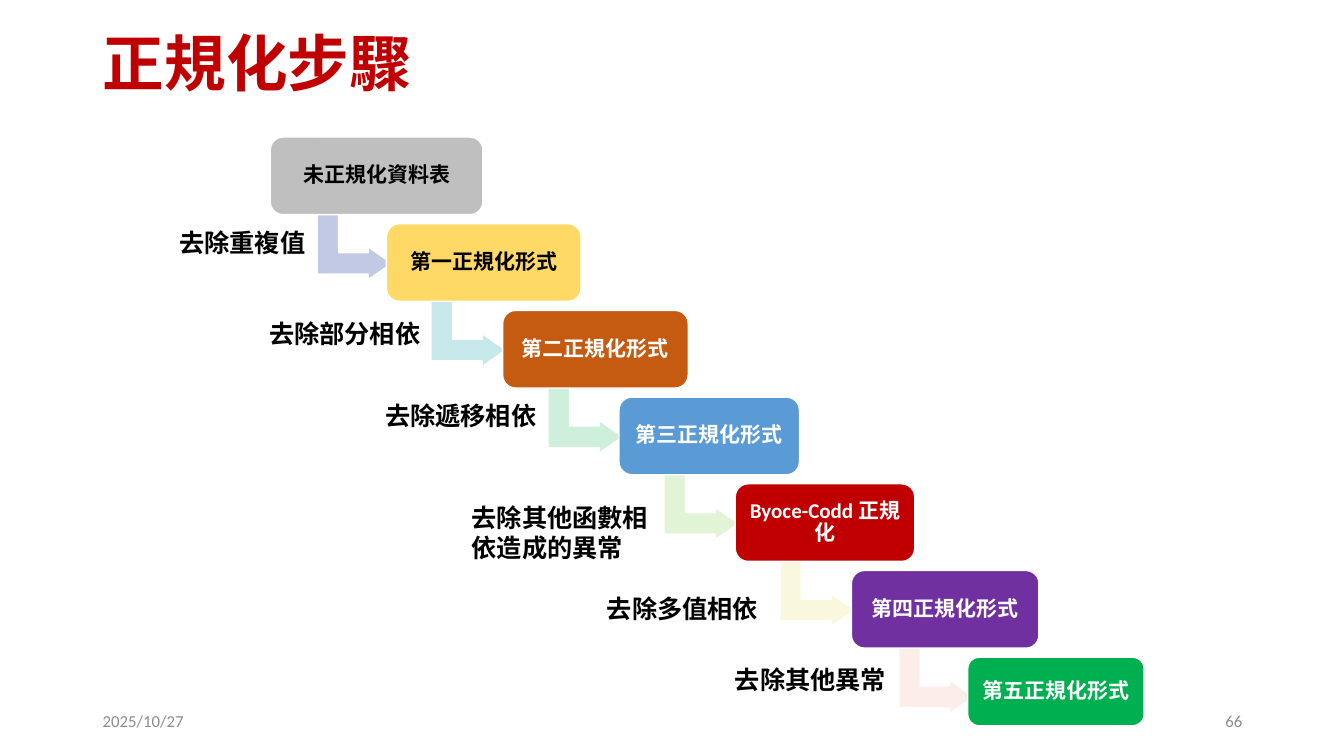
from lxml import etree
from pptx import Presentation
from pptx import util as u
from pptx.dml.color import RGBColor
from pptx.enum import shapes, text
from pptx.oxml.ns import qn

COLOURS = {
    "white": "FFFFFF", "black": "000000", "red": "C00000", "footer": "8C8C8C",
    "grey": "BFBFBF", "yellow": "FFD966", "orange": "C55A11", "blue": "5B9BD5",
    "purple": "7030A0", "green": "00B050",
    "pale blue": "C1C9E4", "pale teal": "C7E8EA", "pale mint": "CEF0DA",
    "pale green": "E1F5D6", "pale yellow": "F9F7DE", "pale pink": "FCEDE8",
}
LATIN, CJK = "Calibri", "Noto Sans CJK SC"

# Form name, width, height, fill, text colour
FORMS = [
    ("未正規化資料表", 2.11, 0.77, "grey", "black"),
    ("第一正規化形式", 1.93, 0.77, "yellow", "black"),
    ("第二正規化形式", 1.84, 0.77, "orange", "white"),
    ("第三正規化形式", 1.79, 0.77, "blue", "white"),
    ("Byoce-Codd 正規化", 1.78, 0.77, "red", "white"),
    ("第四正規化形式", 1.86, 0.77, "purple", "white"),
    ("第五正規化形式", 1.75, 0.68, "green", "white"),
]
# Arrow left and fill, then the label's words, left, top, width, height, wrap
ACTIONS = [
    (3.19, "pale blue", "去除重複值", 1.68, 2.21, 1.46, 0.4, False),
    (4.32, "pale teal", "去除部分相依", 2.57, 3.11, 1.72, 0.4, False),
    (5.48, "pale mint", "去除遞移相依", 3.72, 3.92, 1.72, 0.4, False),
    (6.63, "pale green", "去除其他函數相依造成的異常", 4.58, 4.93, 1.95, 0.71, True),
    (7.78, "pale yellow", "去除多值相依", 5.92, 5.84, 1.72, 0.4, False),
    (8.96, "pale pink", "去除其他異常", 7.19, 6.54, 1.72, 0.4, False),
]
FIRST_LEFT, FIRST_TOP = 2.68, 1.36
STEP_RIGHT, STEP_DOWN = 1.153, 0.86


def colour(name):
    return RGBColor.from_string(COLOURS[name])


def write(frame, words, size=18, ink="black", bold=False, font=LATIN,
          align=text.PP_ALIGN.LEFT, anchor=text.MSO_ANCHOR.MIDDLE,
          spacing=None, inset=None, wrap=True):
    frame.word_wrap = wrap
    frame.auto_size = text.MSO_AUTO_SIZE.NONE
    frame.vertical_anchor = anchor
    if inset is not None:
        frame.margin_left = frame.margin_right = u.Inches(inset)
        frame.margin_top = frame.margin_bottom = u.Inches(inset)
    para = frame.paragraphs[0]
    para.alignment = align
    if spacing:
        para.line_spacing = spacing
    span = para.add_run()
    span.text = words
    span.font.size = u.Pt(size)
    span.font.bold = bold
    span.font.color.rgb = colour(ink)
    span.font.name = font
    east_asian = etree.SubElement(span.font._element, qn("a:ea"))
    east_asian.set("typeface", CJK)


class StepSlide:
    def __init__(self, deck):
        self.page = deck.slides.add_slide(deck.slide_layouts[5])
        self.outline = "white"

    def title(self, words, *place):
        box = self.page.shapes.title
        box.left, box.top, box.width, box.height = map(u.Inches, place)
        write(box.text_frame, words, size=44, ink="red", bold=True, spacing=0.9)

    def label(self, words, *place, **style):
        box = self.page.shapes.add_textbox(*map(u.Inches, place))
        write(box.text_frame, words, **style)

    def shape(self, kind, fill, adjustments, *place):
        shape = self.page.shapes.add_shape(kind, *map(u.Inches, place))
        shape.shadow.inherit = False
        shape.fill.solid()
        shape.fill.fore_color.rgb = colour(fill)
        shape.line.color.rgb = colour(self.outline)
        shape.line.width = u.Pt(1)
        for index, value in enumerate(adjustments):
            shape.adjustments[index] = value
        return shape

    def arrow(self, fill, left, top):
        arrow = self.shape(shapes.MSO_SHAPE.BENT_UP_ARROW, fill,
                           (0.328, 0.25, 0.358), left, top, 0.65, 0.74)
        arrow.rotation = 90

    def form(self, words, fill, ink, *place):
        box = self.shape(shapes.MSO_SHAPE.ROUNDED_RECTANGLE, fill, (0.167,), *place)
        write(box.text_frame, words, size=15, ink=ink, bold=True,
              align=text.PP_ALIGN.CENTER, spacing=0.9, inset=0.06)


def main():
    deck = Presentation()
    deck.slide_width, deck.slide_height = u.Inches(13.33), u.Inches(7.5)
    slide = StepSlide(deck)
    slide.title("正規化步驟", 0.92, 0.15, 11.5, 1.02)
    slide.label("2025/10/27", 0.92, 6.95, 3, 0.4, size=12, ink="footer")
    slide.label("66", 9.42, 6.95, 3, 0.4, size=12, ink="footer",
                align=text.PP_ALIGN.RIGHT)

    for step, (left, fill, *_) in enumerate(ACTIONS):
        slide.arrow(fill, left, 2.08 + step * STEP_DOWN)
    for step, (words, width, height, fill, ink) in enumerate(FORMS):
        slide.form(words, fill, ink, FIRST_LEFT + step * STEP_RIGHT,
                   FIRST_TOP + step * STEP_DOWN, width, height)
    for _, _, words, *place, wrap in ACTIONS:
        slide.label(words, *place, bold=True, font=CJK, wrap=wrap,
                    anchor=text.MSO_ANCHOR.TOP)
    deck.save("out.pptx")


if __name__ == "__main__":
    main()
